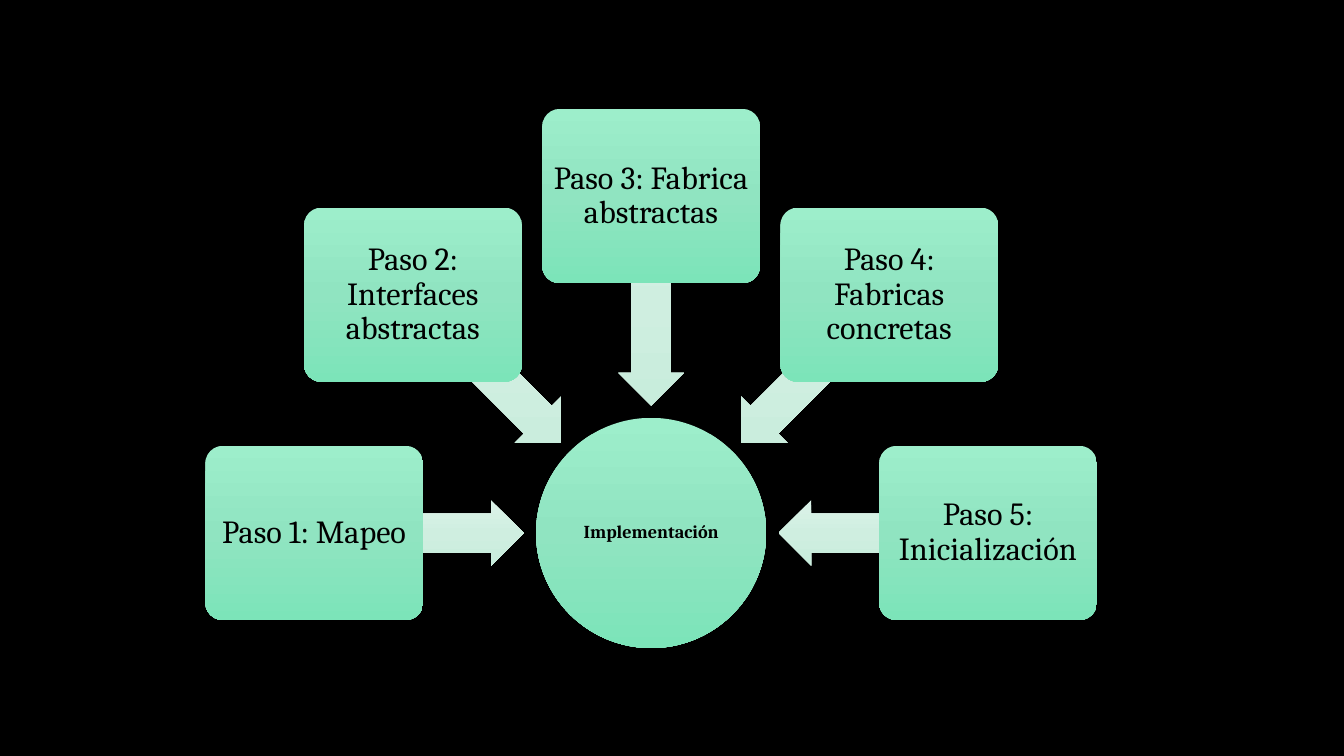
from math import cos, sin, radians

from pptx import Presentation
from pptx.dml.color import RGBColor
from pptx.enum.shapes import MSO_SHAPE as Kind
from pptx.enum.text import MSO_ANCHOR as Anchor, PP_ALIGN as Align
from pptx.oxml import parse_xml
from pptx.util import Cm, Pt

BLACK = RGBColor(0x00, 0x00, 0x00)
MINT = [RGBColor(0x9D, 0xEE, 0xCB), RGBColor(0x90, 0xE4, 0xC1), RGBColor(0x7C, 0xE4, 0xB9)]
PALE = [RGBColor(0xDC, 0xF3, 0xE9), RGBColor(0xCF, 0xEE, 0xE0), RGBColor(0xC8, 0xED, 0xDC)]
NS = "http://schemas.openxmlformats.org/drawingml/2006/main"

HUB_X, HUB_Y, HUB_D = 16.41, 13.43, 5.8
BOX_R, BOX_W, BOX_H = 8.49, 5.49, 4.39
ARROW_R, ARROW_W, ARROW_H = 5.85, 5.28, 1.65
STEPS = [
    "Paso 1: Mapeo",
    "Paso 2: Interfaces abstractas",
    "Paso 3: Fabrica abstractas",
    "Paso 4: Fabricas concretas",
    "Paso 5: Inicialización",
]


def add_form(kind, angle, dist, width, height, tones):
    x = HUB_X + dist * cos(radians(angle))
    y = HUB_Y + dist * sin(radians(angle))
    form = slide.shapes.add_shape(
        kind, Cm(x - width / 2), Cm(y - height / 2), Cm(width), Cm(height))
    stops = "".join(
        f'<a:gs pos="{i * 50000}"><a:srgbClr val="{tone}"/></a:gs>'
        for i, tone in enumerate(tones))
    form._element.spPr.append(parse_xml(
        f'<a:gradFill xmlns:a="{NS}" rotWithShape="0"><a:gsLst>{stops}</a:gsLst>'
        '<a:lin ang="5400000" scaled="0"/></a:gradFill>'))
    form.line.fill.background()
    form.shadow.inherit = False
    return form


def add_label(form, text, size, inset, bold):
    frame = form.text_frame
    para = frame.paragraphs[0]
    run = para.add_run()
    run.text = text
    edge = Cm(inset)
    formats = {
        frame: {"word_wrap": True, "vertical_anchor": Anchor.MIDDLE,
                "margin_left": edge, "margin_right": edge,
                "margin_top": edge, "margin_bottom": edge},
        para: {"alignment": Align.CENTER, "line_spacing": 0.9},
        run.font: {"name": "Cambria", "size": Pt(size), "bold": bold},
    }
    for target, values in formats.items():
        for name, value in values.items():
            setattr(target, name, value)
    run.font.color.rgb = BLACK


deck = Presentation()
deck.slide_width, deck.slide_height = Cm(33.87), Cm(19.05)
slide = deck.slides.add_slide(deck.slide_layouts[6])
slide.background.fill.solid()
slide.background.fill.fore_color.rgb = BLACK

hub = add_form(Kind.OVAL, 0, 0, HUB_D, HUB_D, MINT)
add_label(hub, "Implementación", 13, 0.03, True)

for i, step in enumerate(STEPS):
    angle = 180 + 45 * i
    arrow = add_form(Kind.LEFT_ARROW, angle, ARROW_R, ARROW_W, ARROW_H, PALE)
    arrow.adjustments[0] = 0.6
    arrow.adjustments[1] = 0.5
    arrow.rotation = angle % 360
    box = add_form(Kind.ROUNDED_RECTANGLE, angle, BOX_R, BOX_W, BOX_H, MINT)
    box.adjustments[0] = 0.1
    add_label(box, step, 23, 0.13, False)

deck.save("out.pptx")
